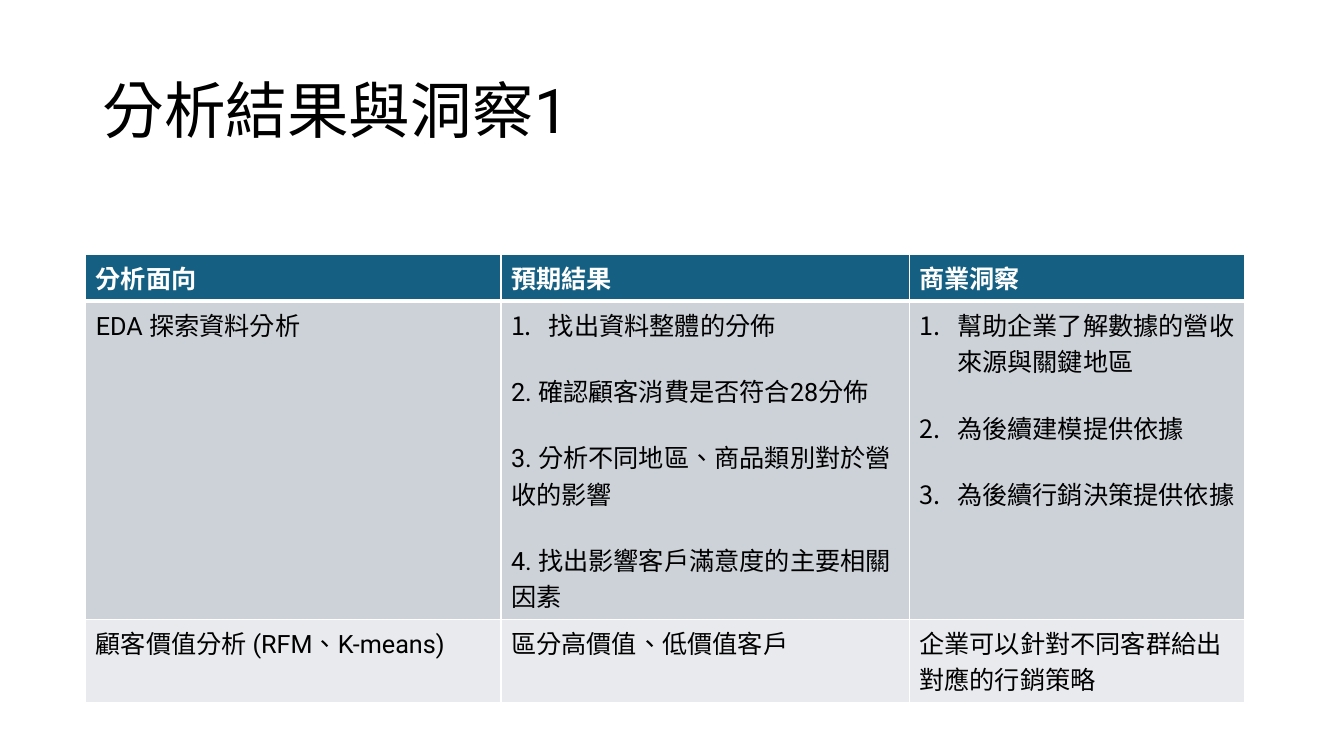
from lxml.etree import SubElement
from pptx import Presentation
from pptx.dml.color import RGBColor
from pptx.enum.lang import MSO_LANGUAGE_ID
from pptx.enum.text import MSO_ANCHOR, PP_ALIGN
from pptx.oxml.ns import qn
from pptx.util import Pt

TITLE = "分析結果與洞察1"
HEADERS = ["分析面向", "預期結果", "商業洞察"]
ROWS = [
    [
        ["EDA 探索資料分析"],
        [
            ("找出資料整體的分佈",),
            "2. 確認顧客消費是否符合28分佈",
            "3. 分析不同地區、商品類別對於營收的影響",
            "4. 找出影響客戶滿意度的主要相關因素",
        ],
        [
            ("幫助企業了解數據的營收來源與關鍵地區",),
            ("為後續建模提供依據",),
            ("為後續行銷決策提供依據",),
        ],
    ],
    [
        ["顧客價值分析 (RFM、K-means)"],
        ["區分高價值、低價值客戶"],
        ["企業可以針對不同客群給出對應的行銷策略"],
    ],
]

COLORS = {"black": "000000", "white": "FFFFFF", "header": "156082",
          "band1": "CCD2D8", "band2": "E8EAED"}
FILLS = ["header", "band1", "band2"]
COLUMN_WIDTHS = [296.64, 291.6, 239.76]
ROW_HEIGHTS = [32, 226, 59]
TABLE_LEFT, TABLE_TOP = 61.2, 181.8
PARAGRAPH_GAP = 21.2
NUMBER_INDENT = 27


def color(name):
    return RGBColor.from_string(COLORS[name])


def format_text(paragraph, text, size, color_name, bold=False):
    run = paragraph.add_run()
    run.text = text
    run.font.color.rgb = color(color_name)
    values = {"name": "Roboto", "size": Pt(size), "bold": bold,
              "language_id": MSO_LANGUAGE_ID.TRADITIONAL_CHINESE}
    for name, value in values.items():
        setattr(run.font, name, value)


def number_paragraph(paragraph):
    properties = paragraph._p.get_or_add_pPr()
    properties.set("marL", str(Pt(NUMBER_INDENT)))
    properties.set("indent", str(-Pt(NUMBER_INDENT)))
    SubElement(properties, qn("a:buFont"), typeface="+mj-lt")
    SubElement(properties, qn("a:buAutoNum"), type="arabicPeriod")


def add_borders(cell, widths):
    properties = cell._tc.get_or_add_tcPr()
    for side, width in widths.items():
        line = SubElement(properties, qn(f"a:ln{side}"), w=str(Pt(width)))
        fill = SubElement(line, qn("a:solidFill"))
        SubElement(fill, qn("a:srgbClr"), val=COLORS["white"])


def fill_cell(cell, items, row_index):
    is_header = row_index == 0
    add_borders(cell, {"L": 1, "R": 1, "T": 3 if row_index == 1 else 1,
                       "B": 3 if is_header else 1})
    cell.fill.solid()
    cell.fill.fore_color.rgb = color(FILLS[row_index])
    frame = cell.text_frame
    for index, item in enumerate(items):
        paragraph = frame.add_paragraph() if index else frame.paragraphs[0]
        if index:
            paragraph.space_before = Pt(PARAGRAPH_GAP)
        numbered = isinstance(item, tuple)
        if numbered:
            number_paragraph(paragraph)
        format_text(paragraph, item[0] if numbered else item, 18,
                    "white" if is_header else "black", is_header)


def add_title(slide):
    title = slide.shapes.title
    bounds = {"left": 66, "top": 28.75, "width": 828, "height": 104.4}
    for name, value in bounds.items():
        setattr(title, name, Pt(value))
    title.text_frame.vertical_anchor = MSO_ANCHOR.MIDDLE
    paragraph = title.text_frame.paragraphs[0]
    paragraph.alignment = PP_ALIGN.LEFT
    paragraph.line_spacing = 0.9
    format_text(paragraph, TITLE, 44, "black")


def add_analysis_table(slide):
    contents = [[[header] for header in HEADERS]] + ROWS
    table = slide.shapes.add_table(
        len(contents), len(HEADERS), Pt(TABLE_LEFT), Pt(TABLE_TOP),
        Pt(sum(COLUMN_WIDTHS)), Pt(sum(ROW_HEIGHTS))).table
    for column, width in zip(table.columns, COLUMN_WIDTHS):
        column.width = Pt(width)
    for row, height in zip(table.rows, ROW_HEIGHTS):
        row.height = Pt(height)
    for row_index, row in enumerate(contents):
        for column_index, items in enumerate(row):
            fill_cell(table.cell(row_index, column_index), items, row_index)


def main():
    presentation = Presentation()
    presentation.slide_width, presentation.slide_height = Pt(960), Pt(540)
    slide = presentation.slides.add_slide(presentation.slide_layouts[5])
    add_title(slide)
    add_analysis_table(slide)
    presentation.save("out.pptx")


if __name__ == "__main__":
    main()
